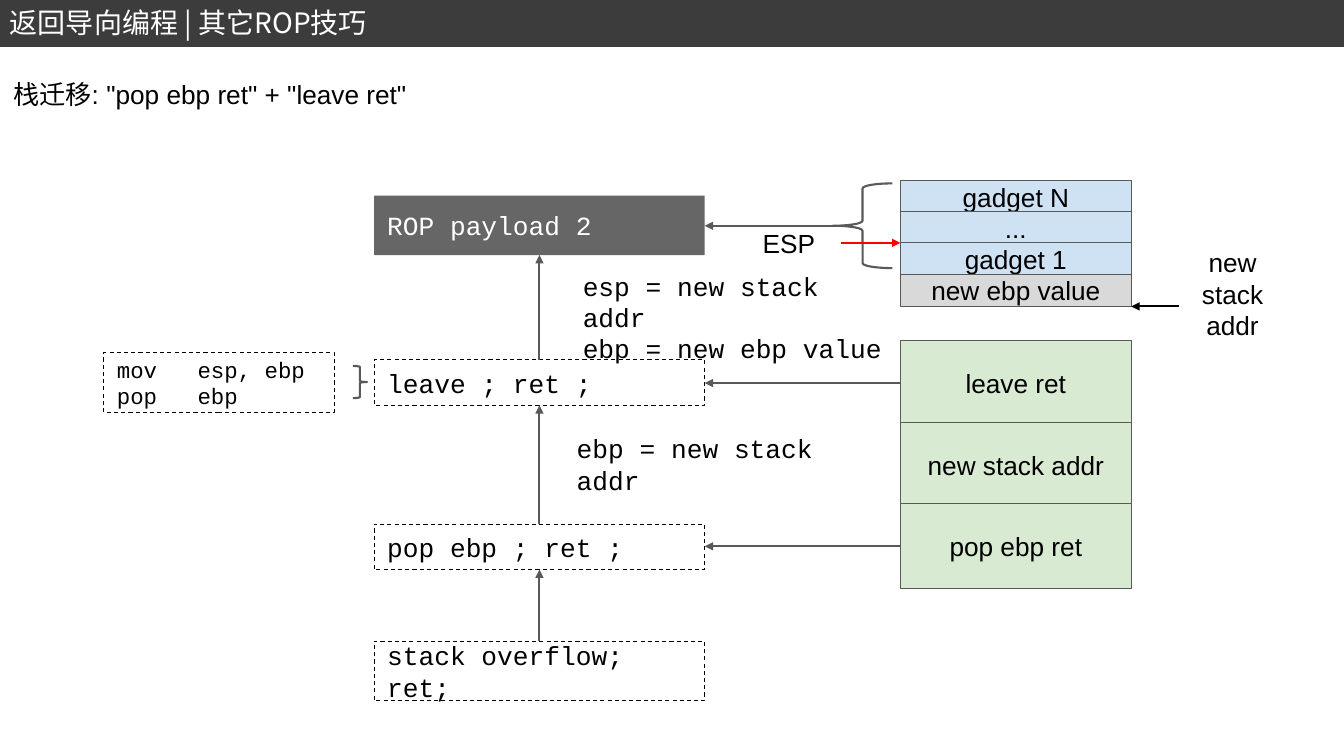
from lxml.etree import SubElement
from pptx import Presentation
from pptx.dml.color import RGBColor
from pptx.enum.dml import MSO_LINE
from pptx.enum.shapes import MSO_CONNECTOR, MSO_SHAPE
from pptx.enum.text import MSO_ANCHOR, MSO_AUTO_SIZE, PP_ALIGN
from pptx.oxml.ns import qn
from pptx.util import Inches, Pt

BLACK, WHITE, GRAY, RED = "000000", "FFFFFF", "595959", "FF0000"
BLUE, GREEN, SILVER = "CFE2F3", "D9EAD3", "D9D9D9"
SANS, MONO, CHINESE = "Arial", "Courier New", "Noto Sans CJK SC"
TEXT_SIZE = 18.7


def color(value):
    """Turn a hex string into a colour."""
    return RGBColor.from_string(value)


def write(shape, text, font=SANS, size=TEXT_SIZE, ink=BLACK,
          align=PP_ALIGN.LEFT, anchor=MSO_ANCHOR.MIDDLE, inset=0.13):
    """Put evenly formatted paragraphs into a shape."""
    frame = shape.text_frame
    frame.text = text
    frame.word_wrap = True
    frame.auto_size = MSO_AUTO_SIZE.NONE
    frame.vertical_anchor = anchor
    frame.margin_left = frame.margin_right = Inches(max(inset, 0.1))
    frame.margin_top = frame.margin_bottom = Inches(inset)
    for para in frame.paragraphs:
        para.alignment = align
        para.font.name = font
        para.font.size = Pt(size)
        para.font.color.rgb = color(ink)


def add_label(page, box, text, **style):
    """Add a plain text box."""
    label = page.shapes.add_textbox(*map(Inches, box))
    write(label, text, **style)
    return label


def add_box(page, box, fill=None, line=None, width=0.75,
            dashed=False, kind=MSO_SHAPE.RECTANGLE):
    """Add a flat shape with an optional fill and outline."""
    shape = page.shapes.add_shape(kind, *map(Inches, box))
    shape.shadow.inherit = False
    if fill:
        shape.fill.solid()
        shape.fill.fore_color.rgb = color(fill)
    else:
        shape.fill.background()
    if line:
        shape.line.color.rgb = color(line)
        shape.line.width = Pt(width)
    else:
        shape.line.fill.background()
    if dashed:
        shape.line.dash_style = MSO_LINE.DASH
    return shape


def add_arrow(page, start, end, ink=GRAY):
    """Add a straight arrow pointing at its end."""
    arrow = page.shapes.add_connector(
        MSO_CONNECTOR.STRAIGHT, *map(Inches, (*start, *end)))
    arrow.line.color.rgb = color(ink)
    arrow.line.width = Pt(1.5)
    SubElement(arrow.line._get_or_add_ln(), qn("a:tailEnd"), type="triangle")
    SubElement(arrow._element.spPr, qn("a:effectLst"))


def add_header(page, box):
    """Add the dark bar with the chapter name."""
    left, top, width, height = box
    add_box(page, box, "3C3C3C", "3C3C3C", 2)
    chapter = add_label(page, (left, top, 6.17, height), "返回导向编程 | 其它ROP技巧",
                        font=CHINESE, size=20, ink=WHITE,
                        anchor=MSO_ANCHOR.TOP, inset=0.05)
    properties = chapter.text_frame.paragraphs[0].font._element
    SubElement(properties, qn("a:ea"), typeface=CHINESE)


def add_title(page, box):
    """Place and fill the title placeholder."""
    title = page.shapes.title
    title.left, title.top, title.width, title.height = map(Inches, box)
    write(title, '栈迁移: "pop ebp ret" + "leave ret"', anchor=MSO_ANCHOR.TOP)


def add_stack(page, box, step, cells):
    """Stack equal cells downwards from the box of the first one."""
    left, top, width, height = box
    for index, (text, fill) in enumerate(cells):
        cell = add_box(page, (left, top + index * step, width, height), fill, GRAY)
        write(cell, text, align=PP_ALIGN.CENTER)


def add_code_flow(page, box):
    """Add the column of code steps, linked from bottom to top."""
    left, top, width, height = box
    middle = left + width / 2
    payload = add_box(page, (left, top, width, 0.59), "666666")
    write(payload, "ROP payload 2", font=MONO, ink=WHITE)
    steps = [("leave ; ret ;", 1.63, 0.45), ("pop ebp ; ret ;", 3.26, 0.45),
             ("stack overflow; ret;", height - 0.59, 0.59)]
    above = top + 0.59
    for text, offset, tall in steps:
        step = add_box(page, (left, top + offset, width, tall), line=BLACK, dashed=True)
        write(step, text, font=MONO)
        add_arrow(page, (middle, top + offset), (middle, above))
        above = top + offset + tall
    add_label(page, (left + 1.94, top + 0.91, width, 0.59),
              "esp = new stack addr\nebp = new ebp value", font=MONO)
    add_label(page, (left + 1.88, top + 2.37, width, 0.59),
              "ebp = new stack addr", font=MONO)


def add_leave_detail(page, box):
    """Spell out the leave instruction beside its step."""
    left, top, width, height = box
    detail = add_box(page, box, line=BLACK, dashed=True)
    write(detail, "mov\tesp, ebp\npop\tebp", font=MONO, size=16)
    for para in detail.text_frame.paragraphs:
        stops = para._p.get_or_add_pPr()
        tabs = stops.makeelement(qn("a:tabLst"))
        SubElement(tabs, qn("a:tab"), pos=str(Inches(0.8)), algn="l")
        stops.insert(0, tabs)
    add_box(page, (left + width + 0.18, top + 0.13, 0.14, 0.32),
            line=GRAY, width=1.5, kind=MSO_SHAPE.RIGHT_BRACE)


def add_memory(page, box):
    """Add both stacks with their pointers and links to the code."""
    left, top, width, height = box
    right, code_edge = left + width, 6.99
    add_stack(page, (left, top, width, 0.32), 0.31,
              [("gadget N", BLUE), ("...", BLUE), ("gadget 1", BLUE),
               ("new ebp value", SILVER)])
    add_stack(page, (left, top + 1.59, width, 0.84), 0.81,
              [("leave ret", GREEN), ("new stack addr", GREEN),
               ("pop ebp ret", GREEN)])
    add_box(page, (left - 0.67, top + 0.03, 0.59, 0.84),
            line=GRAY, width=1.5, kind=MSO_SHAPE.LEFT_BRACE)
    for start, offset in [(left - 0.67, 0.45), (left, 2.01), (left, 3.63)]:
        add_arrow(page, (start, top + offset), (code_edge, top + offset))
    add_arrow(page, (left - 0.59, top + 0.62), (left, top + 0.62), RED)
    add_arrow(page, (right + 0.47, top + 1.25), (right, top + 1.25), BLACK)
    add_label(page, (left - 1.57, top + 0.4, 0.93, 0.45), "ESP",
              align=PP_ALIGN.CENTER)
    add_label(page, (right + 0.54, top + 0.58, 0.93, 1.09), "new stack addr",
              align=PP_ALIGN.CENTER)


def main():
    """Build and save the stack pivot slide."""
    deck = Presentation()
    deck.slide_width, deck.slide_height = Inches(13.33), Inches(7.5)
    page = deck.slides.add_slide(deck.slide_layouts[5])
    add_header(page, (0, 0.01, 13.33, 0.44))
    add_title(page, (0, 0.65, 12.42, 0.84))
    add_code_flow(page, (3.71, 1.94, 3.28, 5.01))
    add_leave_detail(page, (1.03, 3.5, 2.29, 0.59))
    add_memory(page, (8.93, 1.79, 2.29, 4.05))
    deck.save("out.pptx")


if __name__ == "__main__":
    main()
